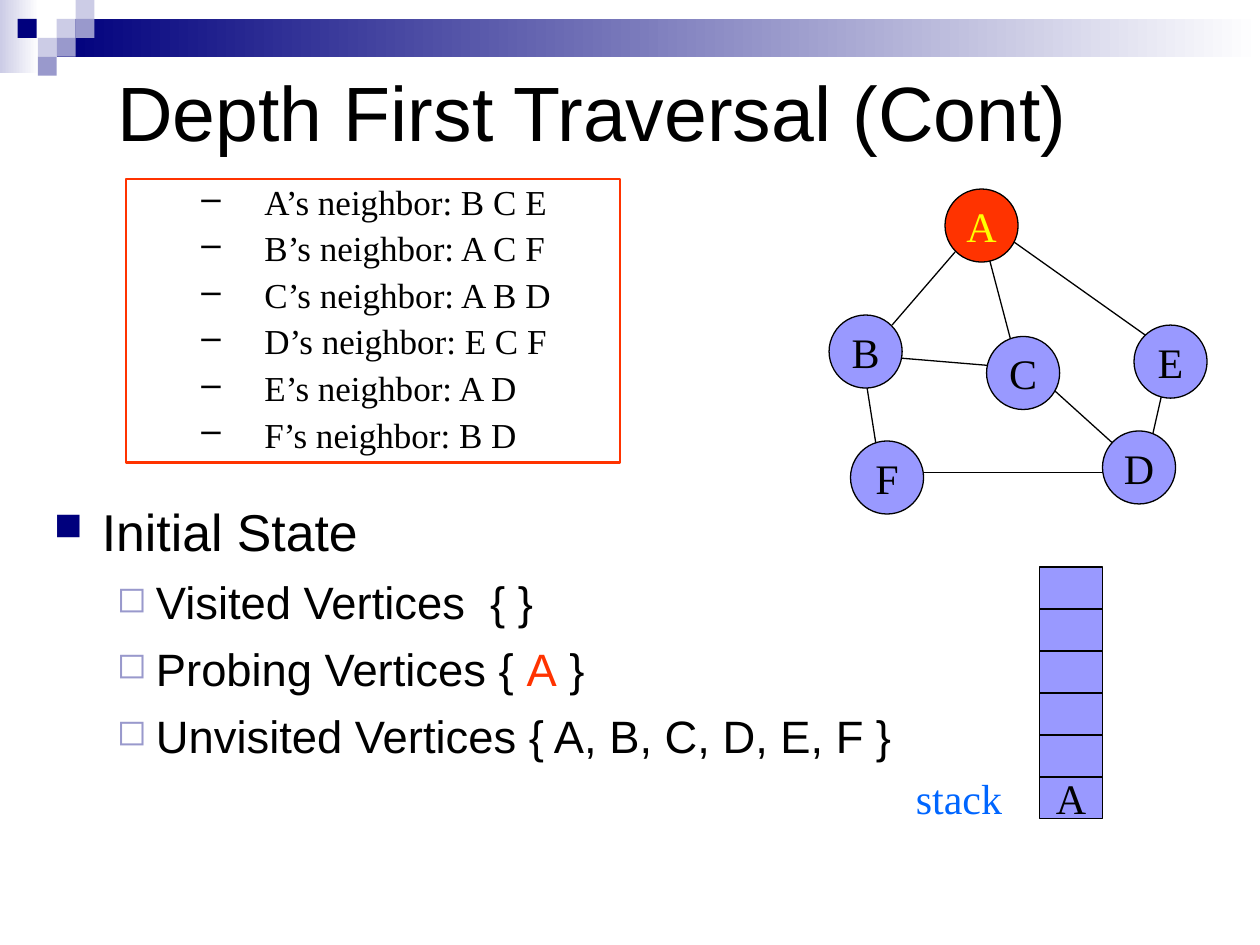
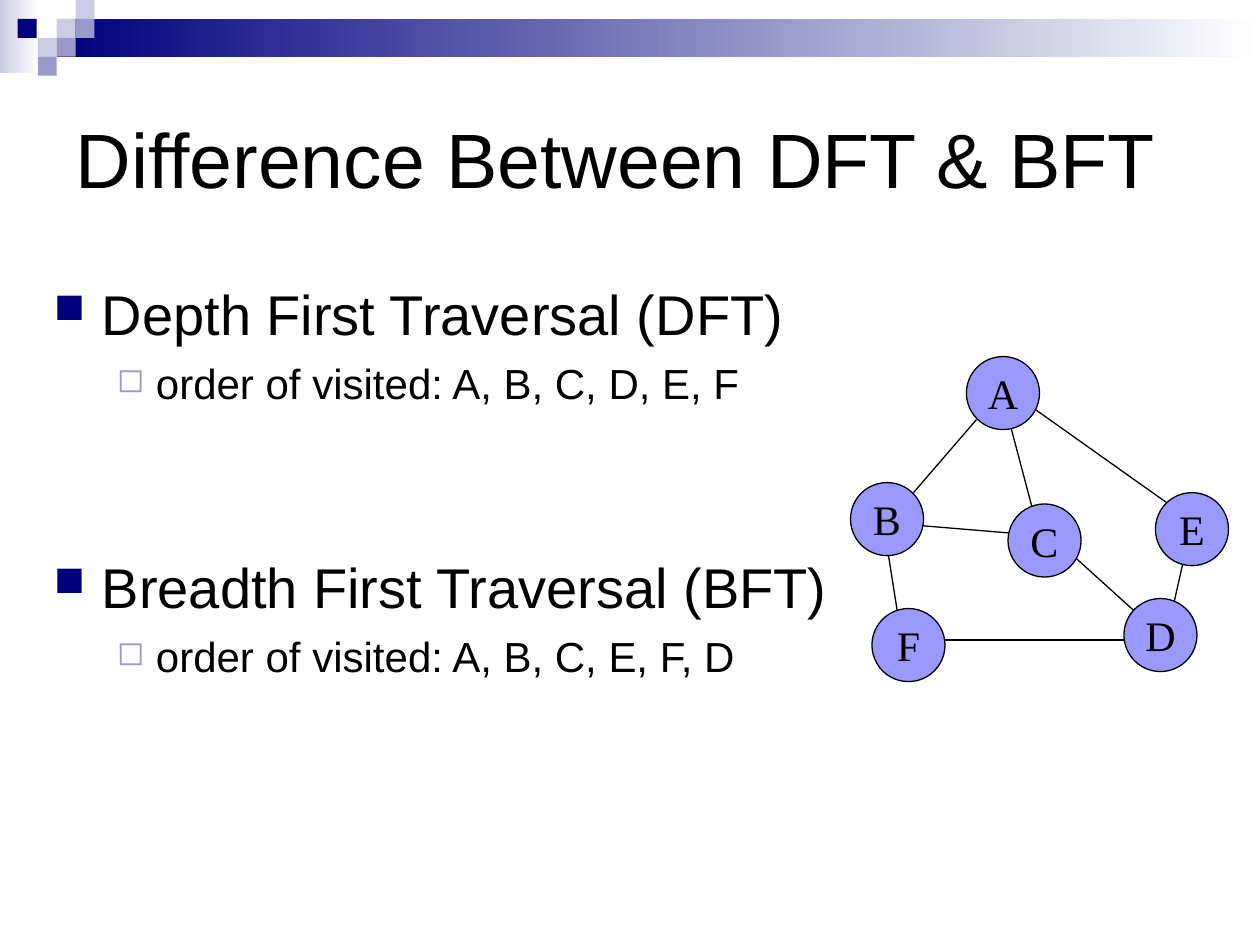
from dataclasses import dataclass
from lxml.etree import SubElement
from pptx import Presentation
from pptx.dml.color import RGBColor
from pptx.enum.shapes import MSO_CONNECTOR, MSO_SHAPE
from pptx.enum.text import MSO_ANCHOR, MSO_AUTO_SIZE, PP_ALIGN
from pptx.oxml.ns import qn
from pptx.util import Inches, Pt


@dataclass
class Theme:
    black: str = "000000"
    white: str = "FFFFFF"
    navy: str = "00007D"
    mist: str = "CCCCE6"
    slate: str = "9999CC"
    node: str = "9999FF"
    red: str = "FF3300"
    yellow: str = "FFFF00"
    blue: str = "0066FF"
    sans: str = "Arial"
    serif: str = "Times New Roman"
    title: float = 44
    label: float = 24
    list: float = 20


theme = Theme()


def paint(shape, fill=None, line=None, width=0.75):
    shape.shadow.inherit = False
    if fill:
        shape.fill.solid()
        shape.fill.fore_color.rgb = RGBColor.from_string(fill)
    else:
        shape.fill.background()
    if line:
        shape.line.color.rgb = RGBColor.from_string(line)
        shape.line.width = Pt(width)
    else:
        shape.line.fill.background()


def write(par, text, size, face, color=theme.black, mark=None):
    if mark:
        sign, tint, scale, left, hang = mark
        props = par._p.get_or_add_pPr()
        props.set("marL", str(Inches(left)))
        props.set("indent", str(Inches(-hang)))
        SubElement(SubElement(props, qn("a:buClr")), qn("a:srgbClr"), val=tint)
        SubElement(props, qn("a:buSzPct"), val=str(scale * 1000))
        SubElement(props, qn("a:buChar"), char=sign)
    for i, part in enumerate(text.split("|")):
        run = par.add_run()
        run.text = part
        run.font.size = Pt(size)
        run.font.name = face
        run.font.color.rgb = RGBColor.from_string(theme.red if i % 2 else color)


prs = Presentation()
prs.slide_width = Inches(10)
prs.slide_height = Inches(7.5)

square = ("■", theme.navy, 75, 0.38, 0.38)
box = ("◻", theme.slate, 80, 0.81, 0.31)
dash = ("–", theme.black, 100, 1, 0.5)

pages = [
    ("Depth First Traversal (Cont)", (0.83, 0.25, 8.5, 1.25), (0.33, 3.92, 7.33, 2.5), [
        ("Initial State", 29.6, square, 0),
        ("Visited Vertices  { }", 25.9, box, 7),
        ("Probing Vertices { |A| }", 25.9, box, 7),
        ("Unvisited Vertices { A, B, C, D, E, F }", 25.9, box, 7),
    ], (0, 0), "A"),
    ("Difference Between DFT & BFT", (0.5, 0.5, 9, 1.5), (0.33, 2.17, 8.5, 4.5), [
        ("Depth First Traversal (DFT)", 32, square, 0),
        ("order of visited: A, B, C, D, E, F", 24, box, 6),
        ("Breadth First Traversal (BFT)", 32, square, 83),
        ("order of visited: A, B, C, E, F, D", 24, box, 6),
    ], (0.17, 1.33), ""),
]
nodes = {"A": (7.5, 1.5), "B": (6.58, 2.5), "C": (7.83, 2.67),
         "E": (9, 2.58), "F": (6.75, 3.5), "D": (8.75, 3.42)}
edges = [
    (7, 2.83, 8.08, 2.92), (7.58, 2, 7.08, 2.58), (7.75, 1.67, 8.08, 2.92),
    (7.92, 1.83, 9.33, 2.83), (6.83, 2.75, 7, 3.83), (9.25, 3, 9.08, 3.75),
    (8.17, 2.92, 9, 3.67), (7.17, 3.75, 8.92, 3.75),
]

for head, place, area, rows, (dx, dy), active in pages:
    slide = prs.slides.add_slide(prs.slide_layouts[5])
    title = slide.shapes.title
    title.left, title.top, title.width, title.height = map(Inches, place)
    frame = title.text_frame
    frame.auto_size = MSO_AUTO_SIZE.NONE
    frame.vertical_anchor = MSO_ANCHOR.MIDDLE
    frame.paragraphs[0].alignment = PP_ALIGN.LEFT
    write(frame.paragraphs[0], head, theme.title, theme.sans)

    frame = slide.shapes.add_textbox(*map(Inches, area)).text_frame
    frame.word_wrap = True
    for i, (text, size, mark, gap) in enumerate(rows):
        par = frame.add_paragraph() if i else frame.paragraphs[0]
        write(par, text, size, theme.sans, mark=mark)
        par.space_before = Pt(gap)

    for x1, y1, x2, y2 in edges:
        ends = (x1 + dx, y1 + dy, x2 + dx, y2 + dy)
        edge = slide.shapes.add_connector(MSO_CONNECTOR.STRAIGHT, *map(Inches, ends))
        edge.line.color.rgb = RGBColor.from_string(theme.black)
        edge.line.width = Pt(0.75)
        SubElement(edge._element.spPr, qn("a:effectLst"))

    for name, (x, y) in nodes.items():
        spot = (x + dx, y + dy, 0.58, 0.58)
        node = slide.shapes.add_shape(MSO_SHAPE.OVAL, *map(Inches, spot))
        paint(node, theme.red if name == active else theme.node, theme.black)
        node.text_frame.word_wrap = False
        par = node.text_frame.paragraphs[0]
        par.alignment = PP_ALIGN.CENTER
        write(par, name, theme.label, theme.serif,
              theme.yellow if name == active else theme.black)

slide = prs.slides[0]
near = slide.shapes.add_shape(MSO_SHAPE.RECTANGLE, *map(Inches, (1, 1.42, 3.92, 2.25)))
paint(near, None, theme.red, 1.5)
frame = near.text_frame
frame.word_wrap = True
frame.vertical_anchor = MSO_ANCHOR.TOP
links = {"A": "B C E", "B": "A C F", "C": "A B D", "D": "E C F", "E": "A D", "F": "B D"}
for i, (name, peers) in enumerate(links.items()):
    par = frame.add_paragraph() if i else frame.paragraphs[0]
    write(par, f"{name}’s neighbor: {peers}", theme.list, theme.serif, mark=dash)
    par.alignment = PP_ALIGN.LEFT
    par.line_spacing = 0.9
    par.space_before = Pt(5 if i else 0)

for i in range(6):
    spot = (8.25, 4.5 + i / 3, 0.5, 0.33)
    cell = slide.shapes.add_shape(MSO_SHAPE.RECTANGLE, *map(Inches, spot))
    paint(cell, theme.node, theme.black)
cell.text_frame.word_wrap = False
cell.text_frame.paragraphs[0].alignment = PP_ALIGN.CENTER
write(cell.text_frame.paragraphs[0], "A", theme.label, theme.serif)

frame = slide.shapes.add_textbox(*map(Inches, (7.17, 6.08, 0.92, 0.5))).text_frame
frame.word_wrap = True
write(frame.paragraphs[0], "stack", theme.label, theme.serif, theme.blue)

tile = 0.15
band = [(0, 0, 0.31, 0.58, theme.mist), (0.45, 0.15, 9.55, 0.3, theme.navy)]
band += [(x, y, tile, tile, tint) for x, y, tint in [
    (0.45, 0.15, theme.mist), (0.6, 0, theme.mist), (0.6, 0.15, theme.slate),
    (0.3, 0.3, theme.mist), (0.14, 0.15, theme.navy), (0.45, 0.3, theme.slate),
    (0.3, 0.45, theme.slate)]]
tree = prs.slide_master.shapes.element
for i, (*spot, tint) in enumerate(band):
    part = slide.shapes.add_shape(MSO_SHAPE.RECTANGLE, *map(Inches, spot))
    paint(part, tint)
    if spot[2] != tile:
        part.fill.gradient()
        part.fill.gradient_angle = 0
        for stop, shade in zip(part.fill.gradient_stops, (tint, theme.white)):
            stop.color.rgb = RGBColor.from_string(shade)
    part.element.nvSpPr.cNvPr.set("id", str(100 + i))
    tree.insert(2 + i, part.element)

prs.save("out.pptx")
